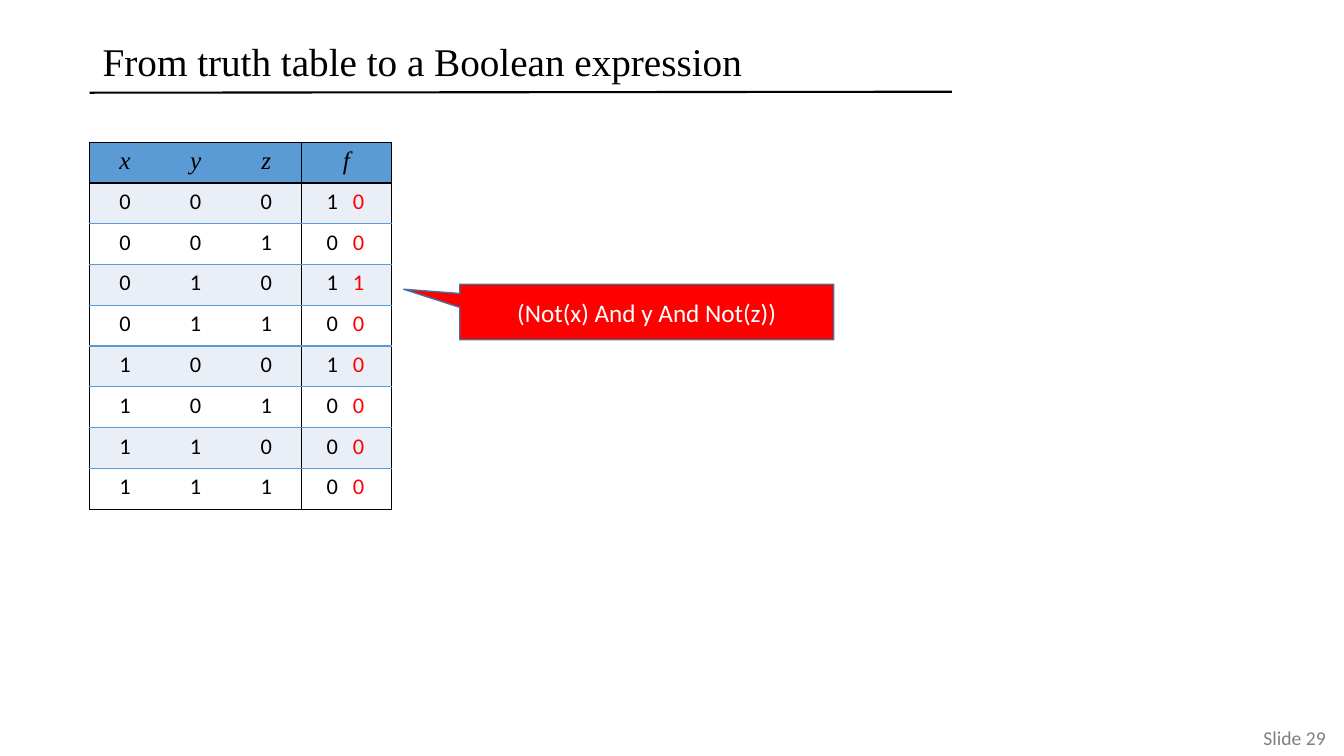
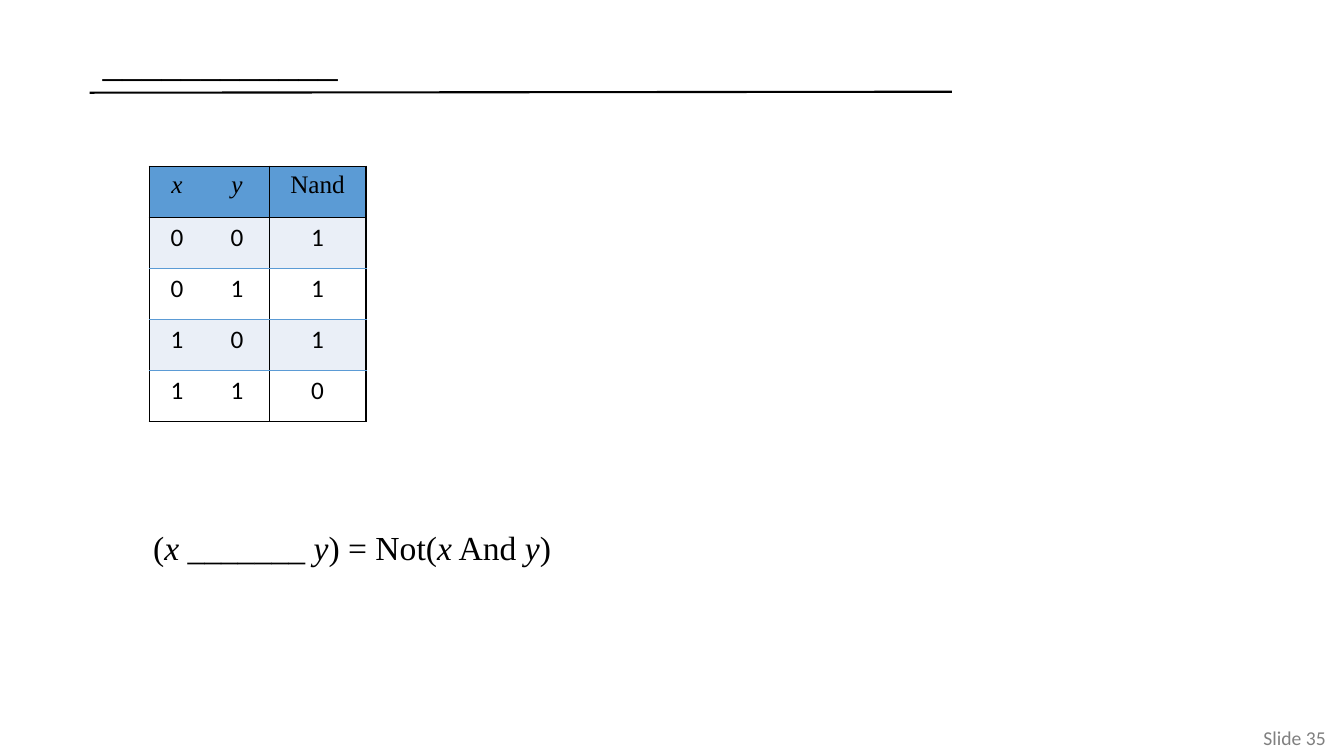
from lxml import etree
from pptx import Presentation
from pptx import util as u
from pptx.dml.color import RGBColor
from pptx.enum import shapes, text
from pptx.oxml import ns

rgb = RGBColor.from_string
BLACK, WHITE, RED, GREY = "000000", "FFFFFF", "FF0000", "808080"
BLUE, PALE, EDGE = "5B9BD5", "EAEFF7", "43739E"
SERIF, SANS = "Times New Roman", "Calibri"
MID, TOP = text.MSO_ANCHOR.MIDDLE, text.MSO_ANCHOR.TOP
LEFT, RIGHT, MIDDLE = text.PP_ALIGN.LEFT, text.PP_ALIGN.RIGHT, text.PP_ALIGN.CENTER


def write(frame, runs, size, font, color=BLACK, align=LEFT, space=1.0):
    """Fill a frame with one paragraph of (text, changed format) runs."""
    para = frame.paragraphs[0]
    para.alignment, para.line_spacing = align, space
    for words, extra in runs:
        run = para.add_run()
        run.text = words
        form = {"size": u.Pt(size), "name": font, "bold": False, "italic": False}
        form.update(extra)
        run.font.color.rgb = rgb(form.pop("color", color))
        for key, value in form.items():
            setattr(run.font, key, value)
    return para


def label(slide, box, runs, size, font, pad=0.1, **form):
    """Add a wrapped text box, centred in height."""
    frame = slide.shapes.add_textbox(*map(u.Inches, box)).text_frame
    frame.word_wrap, frame.vertical_anchor = True, MID
    frame.margin_left = frame.margin_right = u.Inches(pad)
    write(frame, runs, size, font, **form)


ITALIC = {"italic": True}
pages = [
    {"title": "From truth table to a Boolean expression", "number": 29,
     "at": (0.89, 1.41), "cols": [0.7, 0.7, 0.7, 0.89], "row": 0.405,
     "head": "x y z f", "size": 16, "out": "10101000", "term": "00100000"},
    {"title": "____________", "number": 35,
     "at": (1.48, 1.65), "cols": [0.55, 0.64, 0.96], "row": 0.506,
     "head": "x y Nand", "size": 18, "out": "1110", "term": ""},
]

deck = Presentation()
deck.slide_width, deck.slide_height = u.Inches(13.33), u.Inches(7.5)

for page in pages:
    slide = deck.slides.add_slide(deck.slide_layouts[6])

    # Footer, title and rule
    label(slide, (0.9, 7.15, 12.25, 0.34), [(f"Slide {page['number']}", {})],
          14, SANS, pad=0, color=GREY, align=RIGHT)
    rule = slide.shapes.add_connector(
        shapes.MSO_CONNECTOR.STRAIGHT, *map(u.Inches, (0.89, 0.92, 9.44, 0.91)))
    rule.line.color.rgb, rule.line.width = rgb(BLACK), u.Pt(1.5)
    etree.SubElement(rule._element.spPr, ns.qn("a:effectLst"))
    label(slide, (0.92, 0.32, 8.53, 0.63), [(page["title"], {})], 28, SERIF, space=0.9)

    # Truth table: inputs count up in binary
    heads, cols = page["head"].split(), page["cols"]
    count, last = len(page["out"]), len(cols) - 1
    rows = [heads] + [list(f"{n:0{last}b}") + [page["out"][n]] for n in range(count)]
    size = [sum(cols), page["row"] * len(rows)]
    grid = slide.shapes.add_table(
        len(rows), len(cols), *map(u.Inches, [*page["at"], *size])).table
    grid.first_row = grid.horz_banding = False
    for col, width in zip(grid.columns, cols):
        col.width = u.Inches(width)
    for r, row in enumerate(rows):
        grid.rows[r].height = u.Inches(page["row"])
        for c, word in enumerate(row):
            cell = grid.cell(r, c)
            cell.vertical_anchor = TOP

            # Borders: black frame, blue between the rows
            sides = {"L": BLACK if c in (0, last) else None,
                     "R": BLACK if c >= last - 1 else None,
                     "T": BLACK if r < 2 else BLUE,
                     "B": BLACK if r in (0, count) else BLUE}
            for side, hue in sides.items():
                line = etree.SubElement(cell._tc.get_or_add_tcPr(),
                                        ns.qn(f"a:ln{side}"), w=str(u.Pt(1)))
                fill = etree.SubElement(line, ns.qn("a:solidFill" if hue else "a:noFill"))
                if hue:
                    etree.SubElement(fill, ns.qn("a:srgbClr"), val=hue)
            cell.fill.solid()
            cell.fill.fore_color.rgb = rgb(BLUE if r == 0 else PALE if r % 2 else WHITE)

            # Cell text, with the red term after a tab
            if r == 0:
                form = ITALIC if len(word) == 1 else {}
                write(cell.text_frame, [(word, form)], 18, SERIF, align=MIDDLE)
            elif c == last and page["term"]:
                cell.margin_left = u.Inches(0.25)
                pair = [(word, {}), ("\t" + page["term"][r - 1], {"color": RED})]
                para = write(cell.text_frame, pair, page["size"], SANS)
                tabs = etree.SubElement(para._p.get_or_add_pPr(), ns.qn("a:tabLst"))
                etree.SubElement(tabs, ns.qn("a:tab"), pos=str(u.Inches(0.26)), algn="l")
            else:
                write(cell.text_frame, [(word, {})], page["size"], SANS, align=MIDDLE)

# Callout for the third row
first, second = deck.slides
call = first.shapes.add_shape(shapes.MSO_SHAPE.RECTANGULAR_CALLOUT,
                              *map(u.Inches, (4.56, 2.82, 3.71, 0.55)))
call.adjustments[0], call.adjustments[1] = -0.65, -0.41
call.shadow.inherit = False
call.fill.solid()
call.fill.fore_color.rgb = rgb(RED)
call.line.color.rgb, call.line.width = rgb(EDGE), u.Pt(1)
call.text_frame.vertical_anchor = MID
write(call.text_frame, [("(Not(x) And y And Not(z))", {})], 18, SANS,
      color=WHITE, align=MIDDLE)

# Formula with a gap to fill in
parts = ["(", "x", " _______ ", "y", ") = Not(", "x", " And ", "y", ")"]
label(second, (1.42, 5.2, 8, 0.5),
      [(part, ITALIC if part in ("x", "y") else {}) for part in parts],
      24, SERIF, space=0.9)

deck.save("out.pptx")
